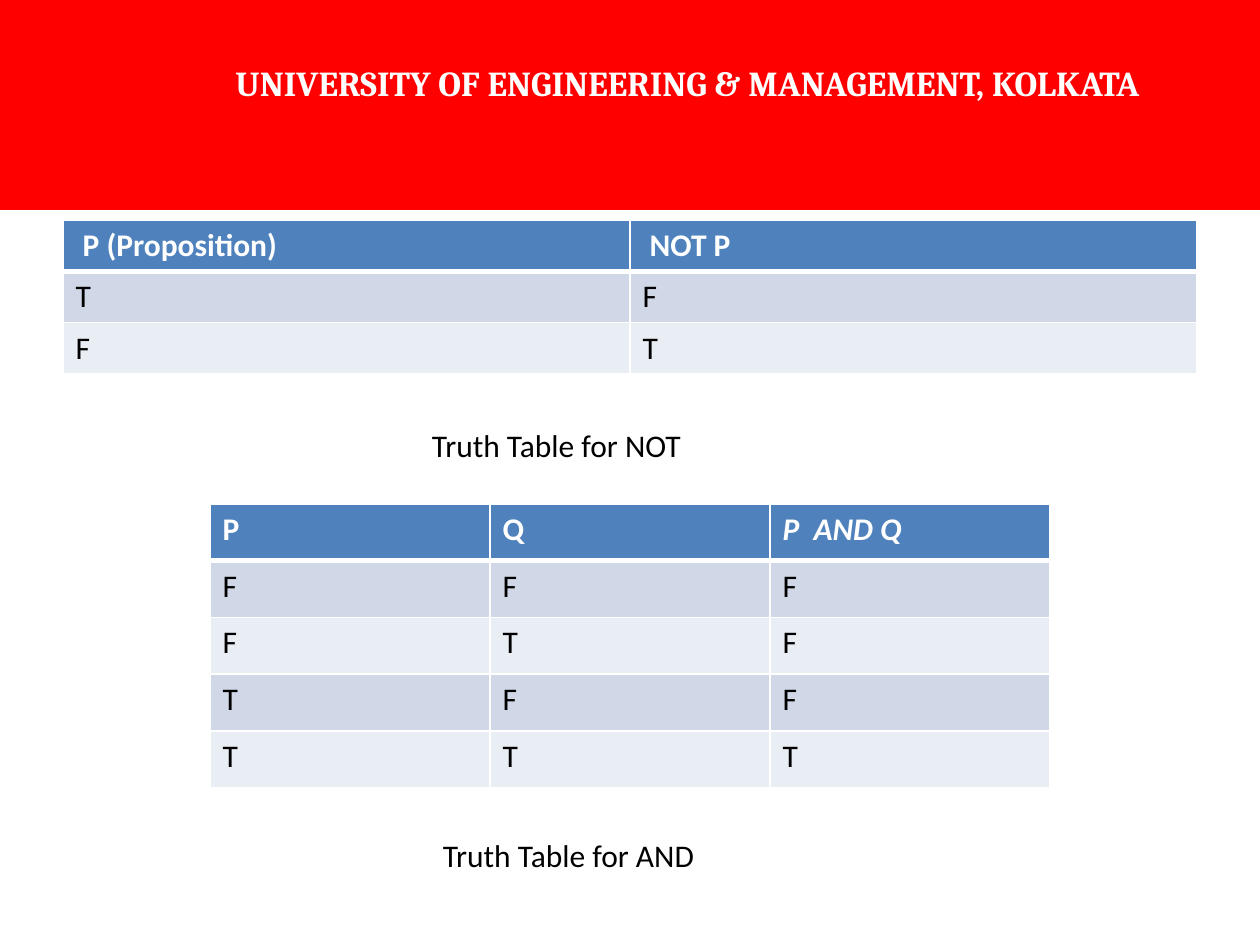
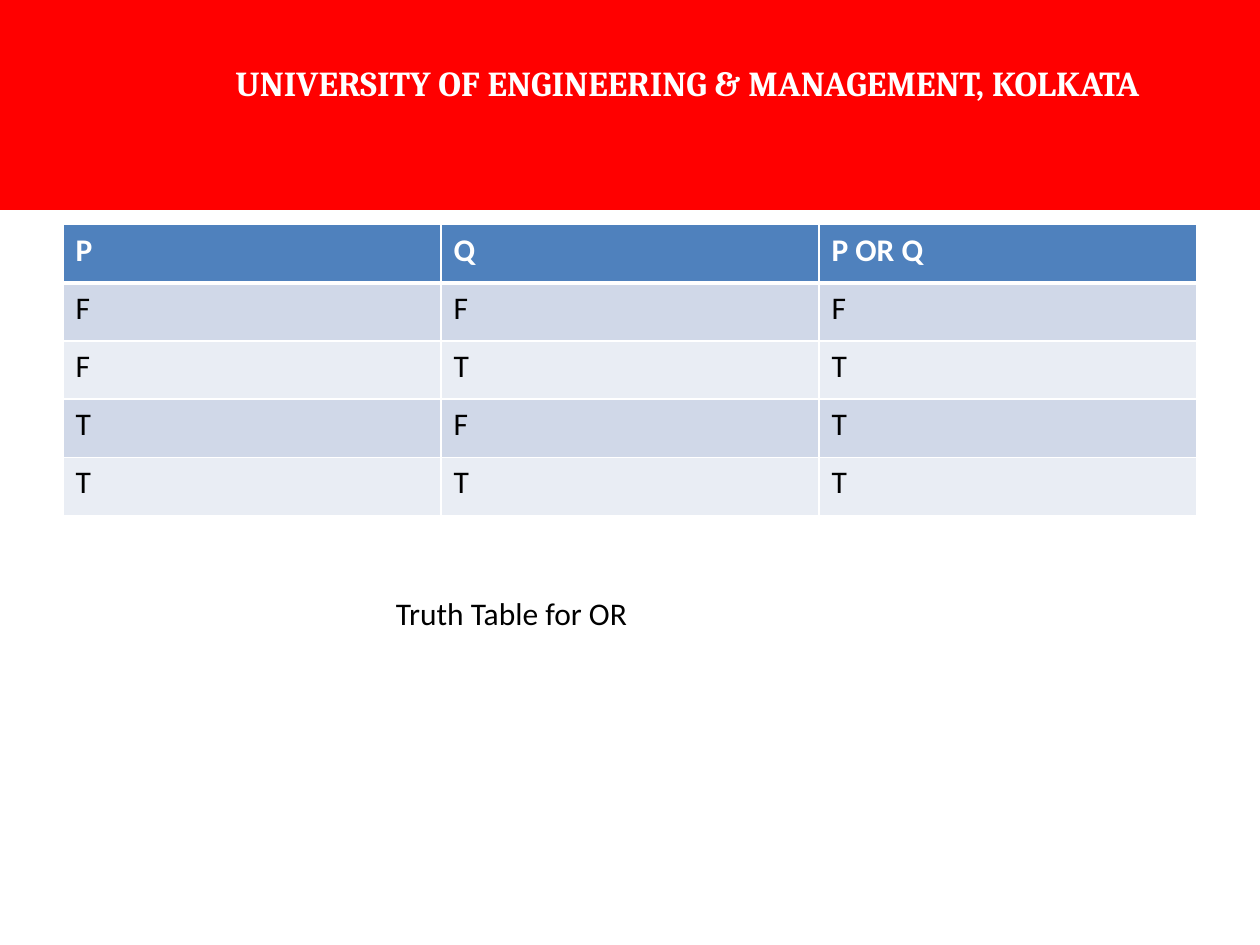
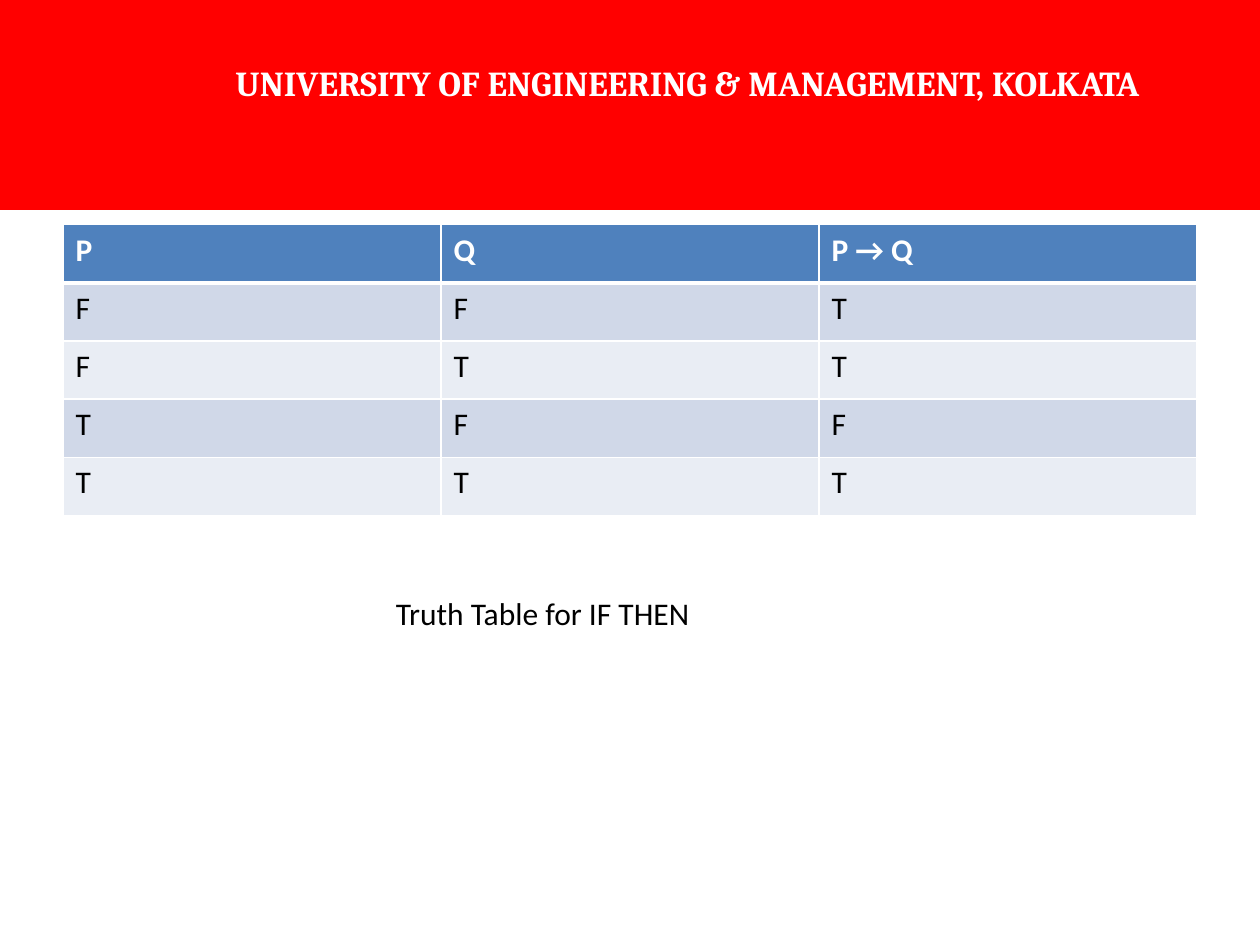
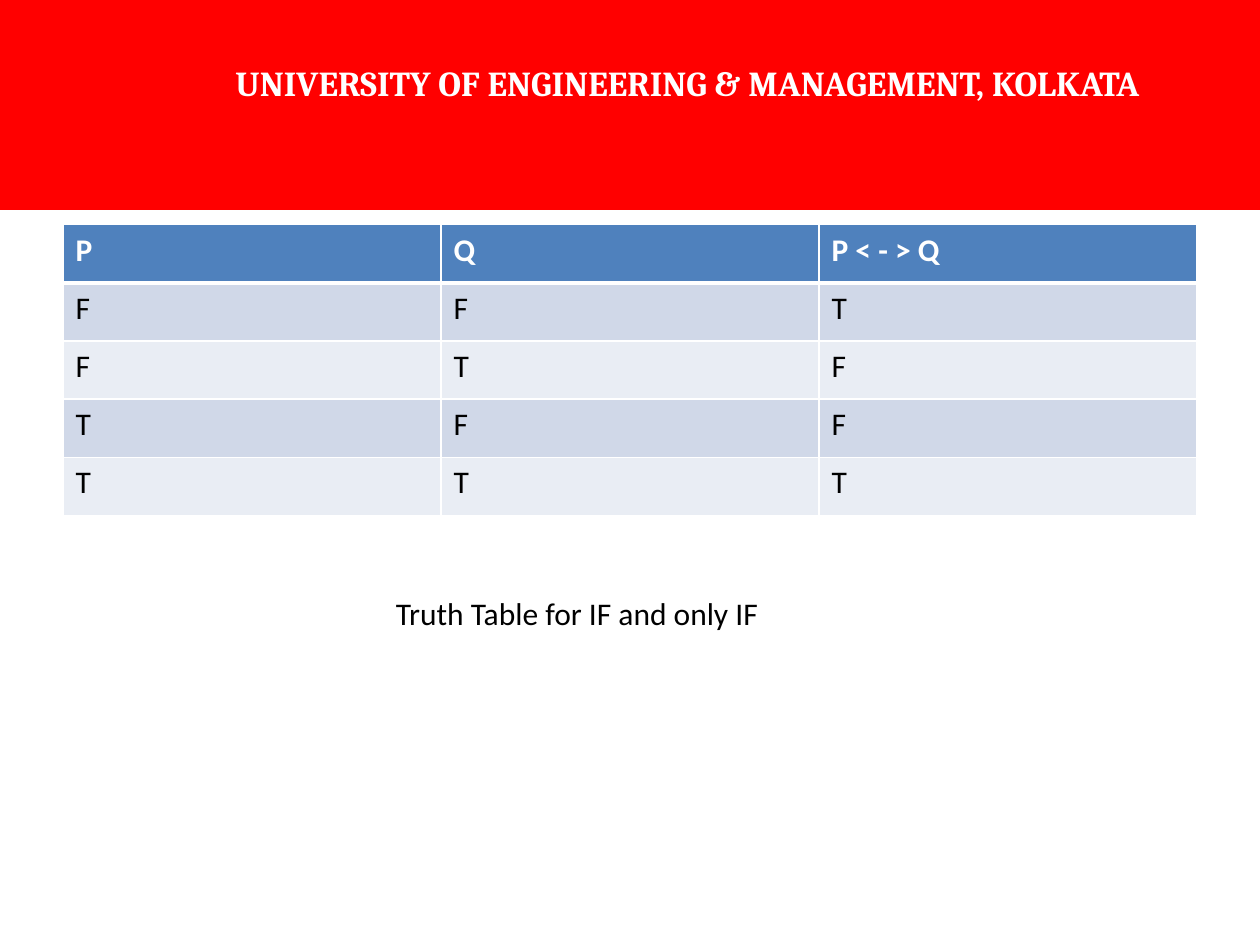
from itertools import product
from lxml.etree import SubElement as Sub
from pptx import Presentation as Deck
from pptx.dml.color import RGBColor as Rgb
from pptx.enum.text import MSO_AUTO_SIZE as Fit, PP_ALIGN as Align
from pptx.oxml.ns import qn
from pptx.util import Emu, Pt

PX = 7620
RED = Rgb(0xFF, 0x00, 0x00)
BLUE = Rgb(0x4F, 0x81, 0xBD)
BANDS = Rgb(0xE9, 0xED, 0xF4), Rgb(0xD0, 0xD8, 0xE8)
WHITE = Rgb(0xFF, 0xFF, 0xFF)
BLACK = Rgb(0x00, 0x00, 0x00)
PLAIN = "{2D5ABB26-0587-4C30-8999-92F81FD0307C}"
SCHOOL = "UNIVERSITY OF ENGINEERING & MANAGEMENT, KOLKATA"


def px(*nums):
    """Turn px lengths into EMU."""
    return [Emu(num * PX) for num in nums]


def write(frame, text, size=18, font="Calibri", color=BLACK, bold=False,
          slant=False, align=None, before=None):
    """Put one formatted line of text into a frame."""
    para = frame.paragraphs[0]
    para.alignment = align
    para.space_before = before
    run = para.add_run()
    run.text = text
    face = run.font
    face.size, face.name = Pt(size), font
    face.bold, face.italic = bold, slant
    face.color.rgb = color


def paint(cell, color):
    """Fill a cell with one colour."""
    cell.fill.solid()
    cell.fill.fore_color.rgb = color


def edge(cell, top=1, base=1):
    """Give a cell white borders, with widths in points."""
    props = cell._tc.get_or_add_tcPr()
    widths = {"lnL": 1, "lnR": 1, "lnT": top, "lnB": base}
    for spot, (tag, width) in enumerate(widths.items()):
        line = Sub(props, qn(f"a:{tag}"), w=str(Pt(width)))
        Sub(Sub(line, qn("a:solidFill")), qn("a:srgbClr"), val=str(WHITE))
        props.insert(spot, line)


def table(slide, box, rows, cols):
    """Add a table without a banded style."""
    grid = slide.shapes.add_table(rows, cols, *px(*box)).table
    grid.first_row = grid.horz_banding = False
    grid._tbl.tblPr.find(qn("a:tableStyleId")).text = PLAIN
    return grid


def banner(slide, box=(0, 0, 1200, 200)):
    """Draw the red band that names the school."""
    grid = table(slide, box, 3, 3)
    for col, width in zip(grid.columns, px(140, 1030, 30)):
        col.width = width
    for row, height in zip(grid.rows, px(56, 77, 67)):
        row.height = height
    for cell in grid.iter_cells():
        paint(cell, RED)
    for start, end in (((0, 0), (0, 1)), ((1, 0), (2, 0)), ((2, 1), (2, 2))):
        grid.cell(*start).merge(grid.cell(*end))
    write(grid.cell(1, 1).text_frame, SCHOOL, size=20, font="Cambria",
          color=WHITE, bold=True, align=Align.CENTER, before=Pt(4))


def truth(slide, box, heads, rows, slant=""):
    """Draw a truth table, with the head named by slant in italics."""
    grid = table(slide, box, len(rows) + 1, len(heads))
    for col, head in enumerate(heads):
        cell = grid.cell(0, col)
        paint(cell, BLUE)
        edge(cell, base=3)
        write(cell.text_frame, head, color=WHITE, bold=True,
              slant=head == slant)
    for num, row in enumerate(rows, 1):
        for col, mark in enumerate(row):
            cell = grid.cell(num, col)
            paint(cell, BANDS[num % 2])
            edge(cell, top=3 if num == 1 else 1)
            write(cell.text_frame, mark)


def label(slide, box, name, align=None, pad=12):
    """Write the caption of a truth table."""
    frame = slide.shapes.add_textbox(*px(*box)).text_frame
    frame.word_wrap = True
    frame.auto_size = Fit.SHAPE_TO_FIT_TEXT
    frame.margin_left = px(pad)[0]
    write(frame, f"Truth Table for {name}", align=align)


def pairs(marks):
    """Join each pair of inputs with its result."""
    return [p + q + mark
            for (p, q), mark in zip(product("FT", repeat=2), marks)]


def basic(slide):
    """Lay out the tables for NOT and AND."""
    truth(slide, (60, 210, 1080, 146), (" P (Proposition)", " NOT P"),
          ("TF", "FT"))
    banner(slide)
    label(slide, (110, 400, 840, 50), "NOT", align=Align.CENTER)
    both = "P  AND Q"
    truth(slide, (200, 480, 800, 270), ("P", "Q", both), pairs("FFFT"),
          slant=both)
    label(slide, (410, 790, 350, 48), "AND")


def single(slide, head, marks, name):
    """Lay out one wide table with its caption."""
    truth(slide, (60, 214, 1080, 277), ("P", "Q", head), pairs(marks))
    banner(slide)
    label(slide, (250, 560, 590, 48), name, pad=127)


def main():
    """Build and save the deck."""
    deck = Deck()
    deck.slide_width, deck.slide_height = px(1200, 900)
    blank = deck.slide_layouts[6]
    basic(deck.slides.add_slide(blank))
    for head, marks, name in (
        ("P OR Q", "FTTT", "OR"),
        ("P → Q", "TTFT", "IF THEN"),
        ("P < - > Q", "TFFT", "IF and only IF"),
    ):
        single(deck.slides.add_slide(blank), head, marks, name)
    deck.save("out.pptx")


if __name__ == "__main__":
    main()
